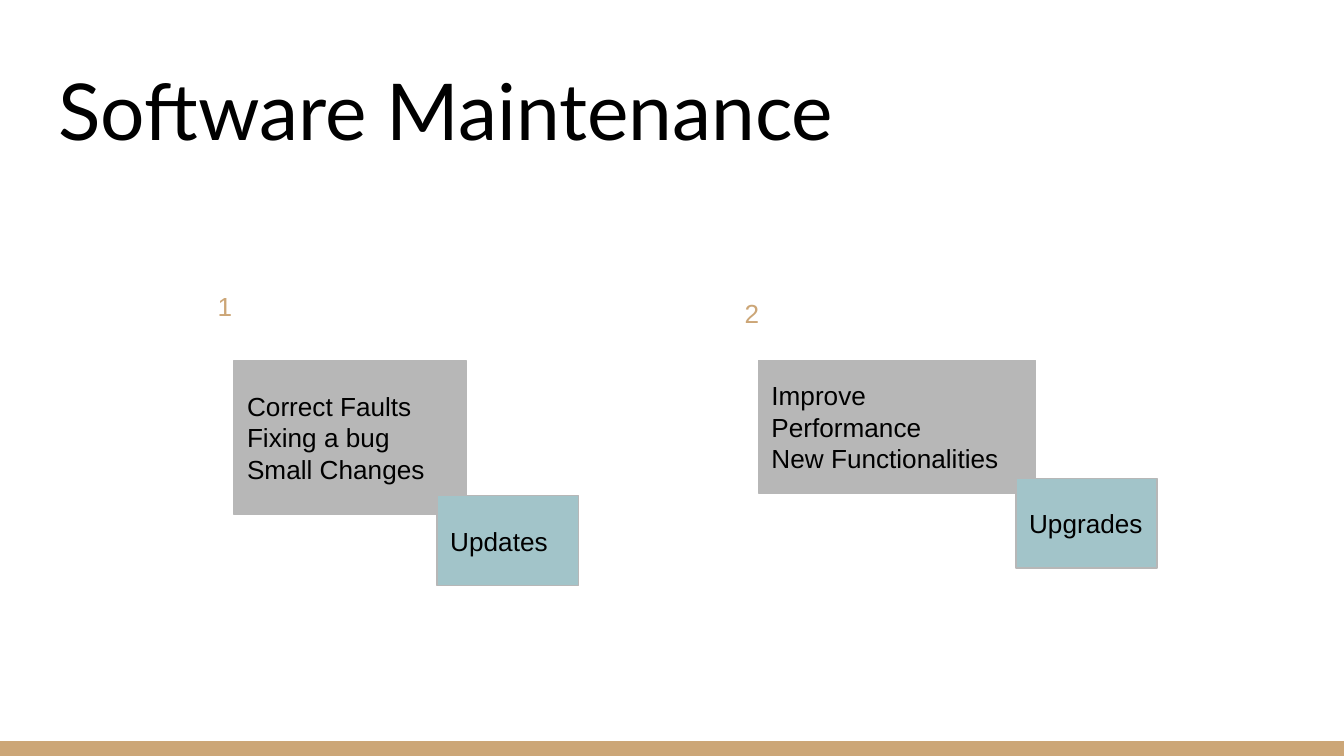
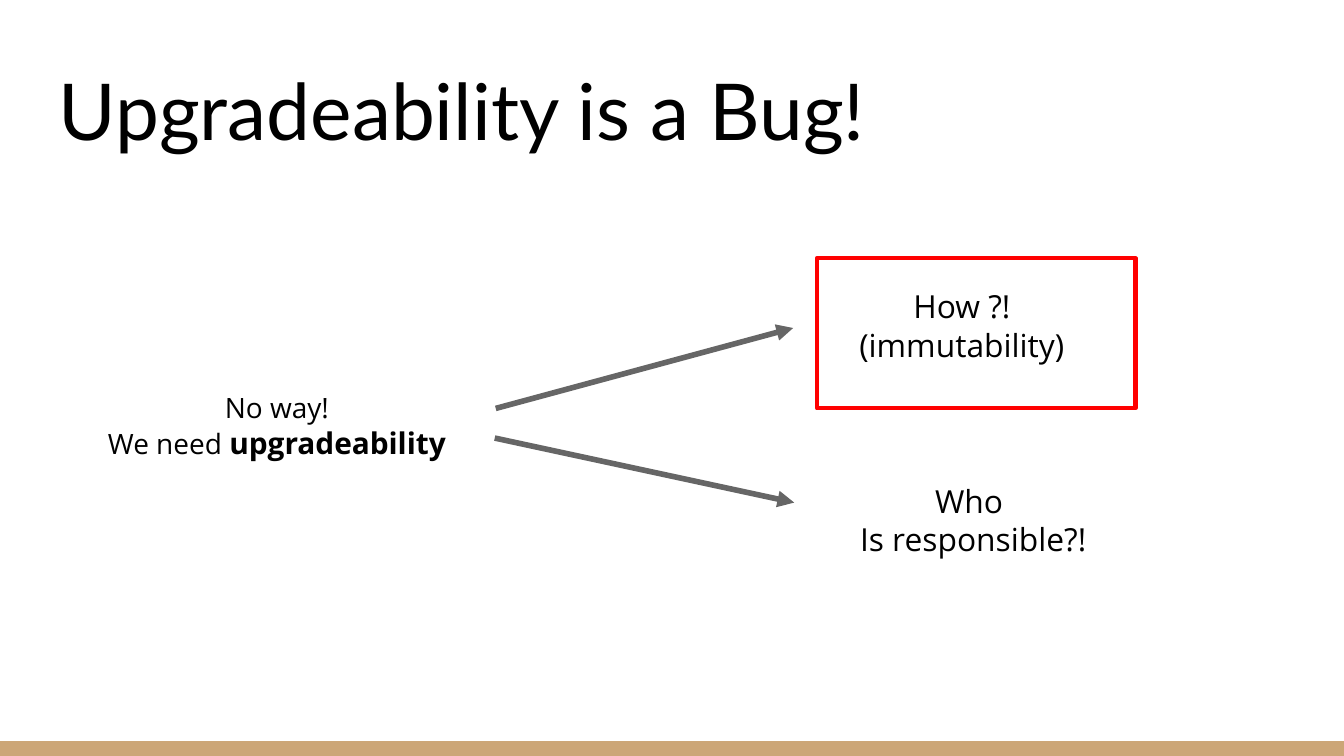
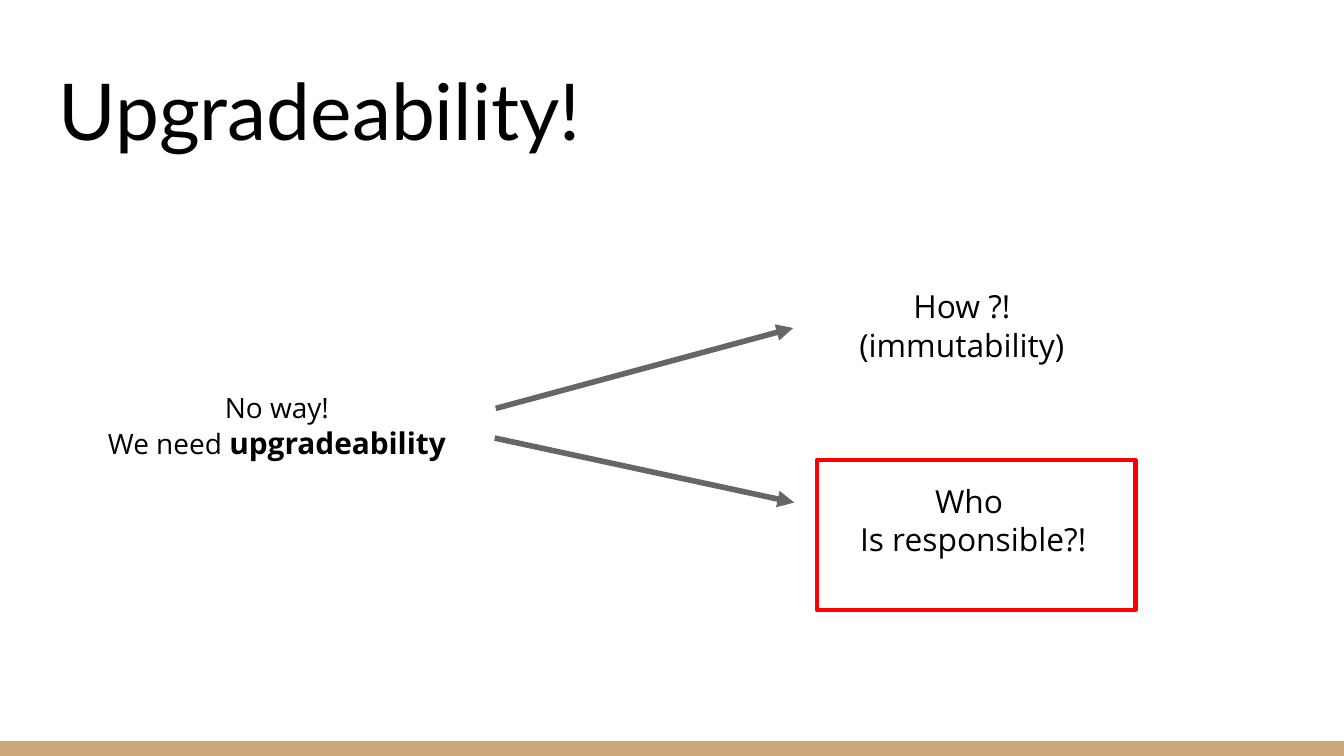
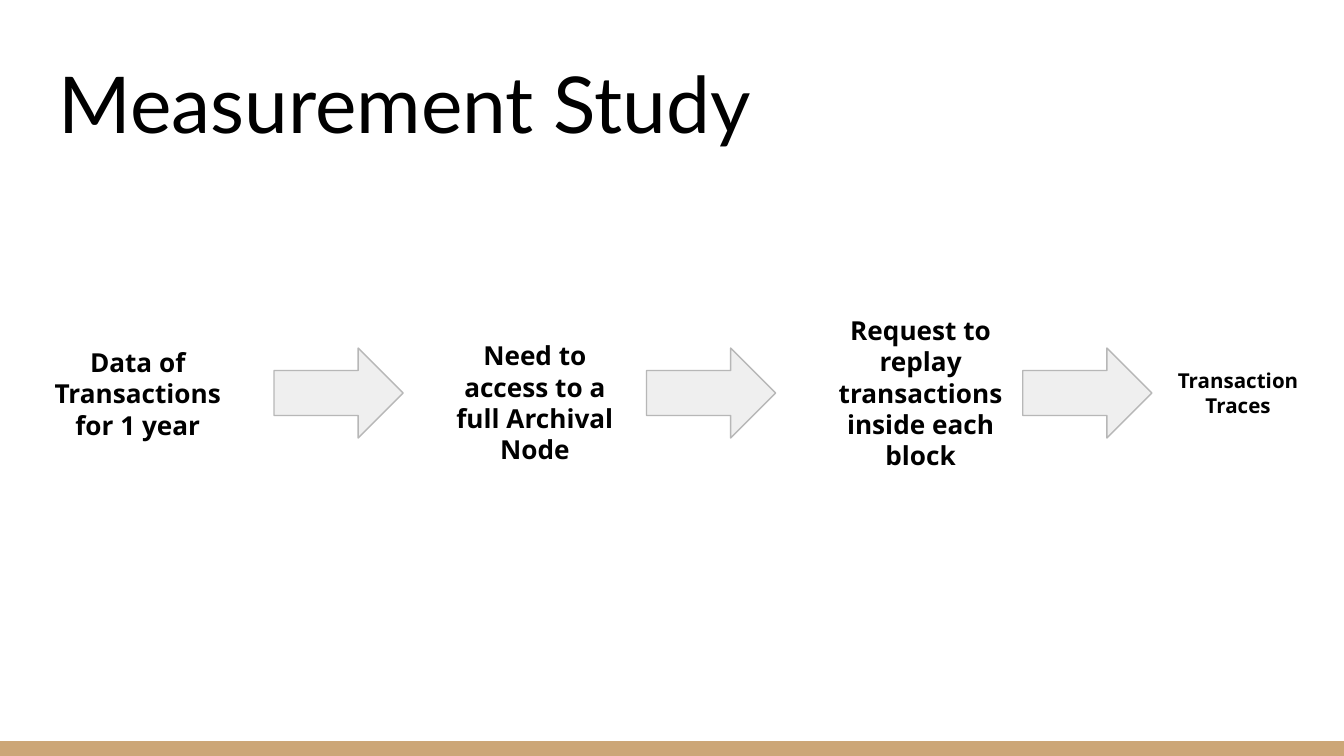
from pptx import Presentation
from pptx.dml.color import RGBColor
from pptx.enum.shapes import MSO_CONNECTOR, MSO_SHAPE
from pptx.enum.text import MSO_ANCHOR, MSO_AUTO_SIZE, PP_ALIGN
from pptx.oxml.ns import qn
from pptx.util import Cm, Pt
from lxml.etree import SubElement

WIDTH, HEIGHT = 25.4, 14.29
BAND_HEIGHT = 0.28
INSET = 0.25

BLACK, WHITE, RED = "000000", "FFFFFF", "FF0000"
SAND, GREY, TEAL = "CCA677", "B7B7B7", "A2C4C9"
PALE, DARK = "EFEFEF", "666666"
TITLE_FONT, LABEL_FONT, BODY_FONT = "Lato", "Arial", "Open Sans"

# All places are left, top, width, height in centimetres.
TITLE_PLACE = (0.86, 0.89, 23.67, 2.31)
STUDY_TITLE_PLACE = (0.86, 0.76, 23.67, 2.31)

MAINTENANCE_KINDS = [
    {"number": ("2", (13.51, 5.49, 1.4, 1.78)),
     "tasks": ("Improve Performance\vNew Functionalities", (14.33, 6.81, 5.24, 2.51)),
     "name": ("Upgrades", (19.2, 9.04, 2.67, 1.7))},
    {"number": ("1", (3.73, 5.36, 1.04, 2.03)),
     "tasks": ("Correct Faults\vFixing a bug\nSmall Changes", (4.42, 6.81, 4.39, 2.92)),
     "name": ("Updates", (8.26, 9.37, 2.67, 1.7))},
]

CLAIM = ("No way!\vWe need ", "upgradeability", (1.55, 7.14, 7.37, 1.83))
QUESTIONS = [
    ("How ?! (immutability)", (15.88, 5.18, 4.6, 1.96)),
    ("Who \vIs responsible?!", (15.88, 8.86, 5.03, 1.96)),
]
QUESTION_ARROWS = [
    ((9.37, 7.72), (14.99, 6.2)),
    ((9.35, 8.28), (15.01, 9.5)),
]
# Title and the place of the frame round the question it deals with.
QUESTION_SLIDES = [
    ("Upgradeability is a Bug!", (15.44, 4.88, 6.02, 2.84)),
    ("Upgradeability!", (15.44, 8.69, 6.02, 2.84)),
]

STUDY_STEPS = [
    ("Data of Transactions for 1 year", 14, (0.56, 6.3, 4.09, 2.31)),
    ("Need to access to a full Archival Node", 14, (8.18, 6.17, 3.86, 2.9)),
    ("Request to replay transactions inside each block", 14, (15.47, 5.69, 3.86, 3.51)),
    ("Transaction\vTraces", 11, (21.89, 6.71, 3.02, 1.45)),
]
STEP_ARROW_LEFTS = [5.18, 12.22, 19.33]
STEP_ARROW_TOP, STEP_ARROW_SIZE = 6.58, (2.44, 1.7)


def colour(code):
    return RGBColor.from_string(code)


def lengths(place):
    return [Cm(value) for value in place]


def style(span, font, size, ink=BLACK, bold=False):
    span.font.name = font
    span.font.size = Pt(size)
    span.font.color.rgb = colour(ink)
    span.font.bold = bold


def write(box, text, font, size, ink=BLACK, bold=False,
          align=PP_ALIGN.LEFT, anchor=MSO_ANCHOR.TOP, inset=INSET):
    frame = box.text_frame
    frame.text = text
    frame.word_wrap = True
    frame.vertical_anchor = anchor
    frame.margin_left = frame.margin_right = Cm(INSET)
    frame.margin_top = frame.margin_bottom = Cm(inset)
    for para in frame.paragraphs:
        para.alignment = align
        for span in para.runs:
            style(span, font, size, ink, bold)


def add_text(page, place, text, font, size, **options):
    box = page.shapes.add_textbox(*lengths(place))
    write(box, text, font, size, **options)
    return box


def add_note(page, place, text, size, bold=False):
    """Centred body text in a box that grows with it."""
    box = add_text(page, place, text, BODY_FONT, size, bold=bold, align=PP_ALIGN.CENTER)
    box.text_frame.auto_size = MSO_AUTO_SIZE.SHAPE_TO_FIT_TEXT
    return box


def add_shape(page, kind, place, fill, line=None, line_width=0.75):
    shape = page.shapes.add_shape(kind, *lengths(place))
    shape.shadow.inherit = False
    shape.fill.solid()
    shape.fill.fore_color.rgb = colour(fill)
    if line:
        shape.line.color.rgb = colour(line)
        shape.line.width = Pt(line_width)
    else:
        shape.line.fill.background()
    return shape


def add_label(page, place, text, fill):
    box = add_shape(page, MSO_SHAPE.RECTANGLE, place, fill, GREY)
    write(box, text, LABEL_FONT, 14, anchor=MSO_ANCHOR.MIDDLE)


def add_arrow(page, start, end):
    arrow = page.shapes.add_connector(MSO_CONNECTOR.STRAIGHT, *lengths(start + end))
    arrow.line.color.rgb = colour(DARK)
    arrow.line.width = Pt(3)
    SubElement(arrow.line._get_or_add_ln(), qn("a:tailEnd"), type="triangle")
    SubElement(arrow._element.spPr, qn("a:effectLst"))


def add_page(deck, title, title_place=TITLE_PLACE):
    page = deck.slides.add_slide(deck.slide_layouts[6])
    band_place = (0, HEIGHT - BAND_HEIGHT, WIDTH, BAND_HEIGHT)
    add_shape(page, MSO_SHAPE.RECTANGLE, band_place, SAND)
    add_text(page, title_place, title, TITLE_FONT, 42, anchor=MSO_ANCHOR.BOTTOM)
    return page


def add_maintenance(deck):
    page = add_page(deck, "Software Maintenance")
    for kind in MAINTENANCE_KINDS:
        tasks, tasks_place = kind["tasks"]
        number, number_place = kind["number"]
        name, name_place = kind["name"]
        add_label(page, tasks_place, tasks, GREY)
        add_text(page, number_place, number, LABEL_FONT, 14, ink=SAND,
                 align=PP_ALIGN.CENTER, inset=0.13)
        add_label(page, name_place, name, TEAL)


def add_questions(deck, title, frame_place):
    page = add_page(deck, title)
    add_shape(page, MSO_SHAPE.RECTANGLE, frame_place, WHITE, RED, 2.25)
    for (start, end), (question, place) in zip(QUESTION_ARROWS, QUESTIONS):
        add_arrow(page, start, end)
        add_note(page, place, question, 17)
    opening, key_word, place = CLAIM
    claim = add_note(page, place, opening, 15)
    span = claim.text_frame.paragraphs[0].add_run()
    span.text = key_word
    style(span, BODY_FONT, 16, bold=True)


def add_study(deck):
    page = add_page(deck, "Measurement Study", STUDY_TITLE_PLACE)
    for left in STEP_ARROW_LEFTS:
        place = (left, STEP_ARROW_TOP) + STEP_ARROW_SIZE
        add_shape(page, MSO_SHAPE.RIGHT_ARROW, place, PALE, GREY)
    for step, size, place in STUDY_STEPS:
        add_note(page, place, step, size, bold=True)


def main():
    deck = Presentation()
    deck.slide_width, deck.slide_height = Cm(WIDTH), Cm(HEIGHT)
    add_maintenance(deck)
    for title, frame_place in QUESTION_SLIDES:
        add_questions(deck, title, frame_place)
    add_study(deck)
    deck.save("out.pptx")


if __name__ == "__main__":
    main()
